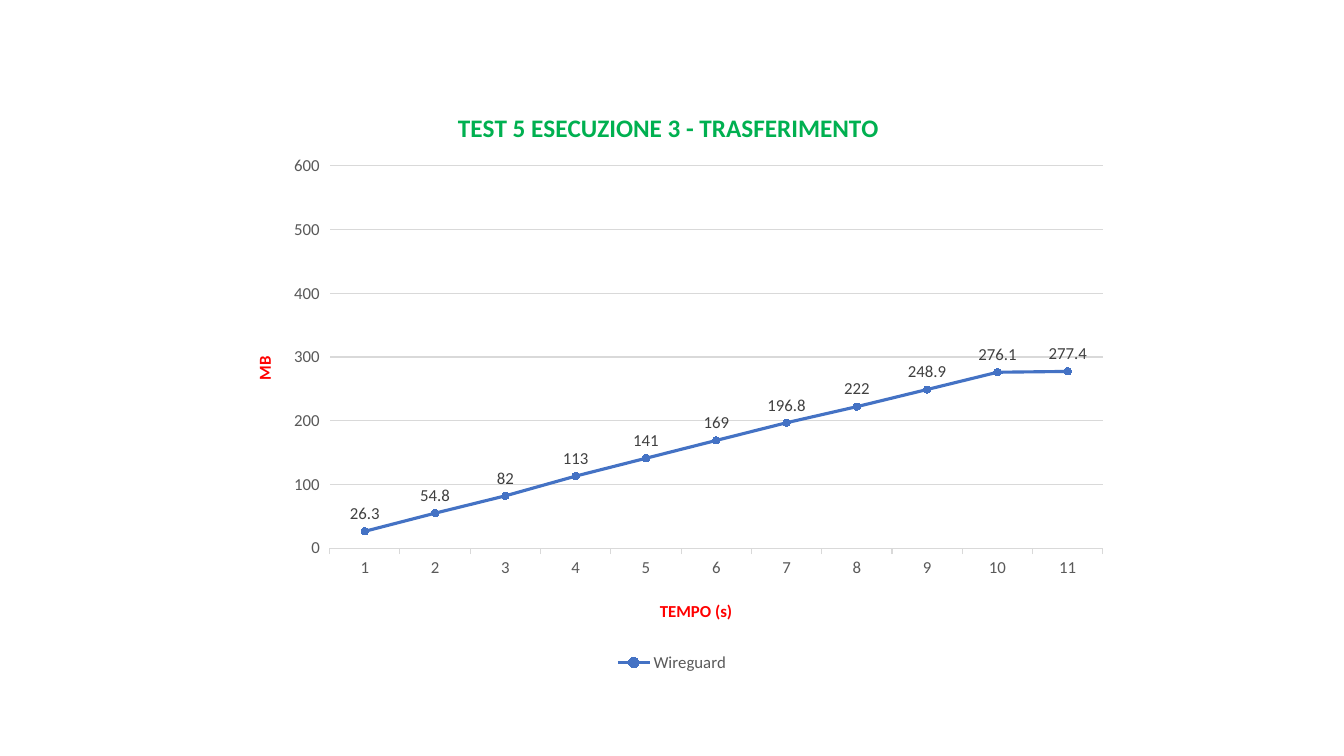
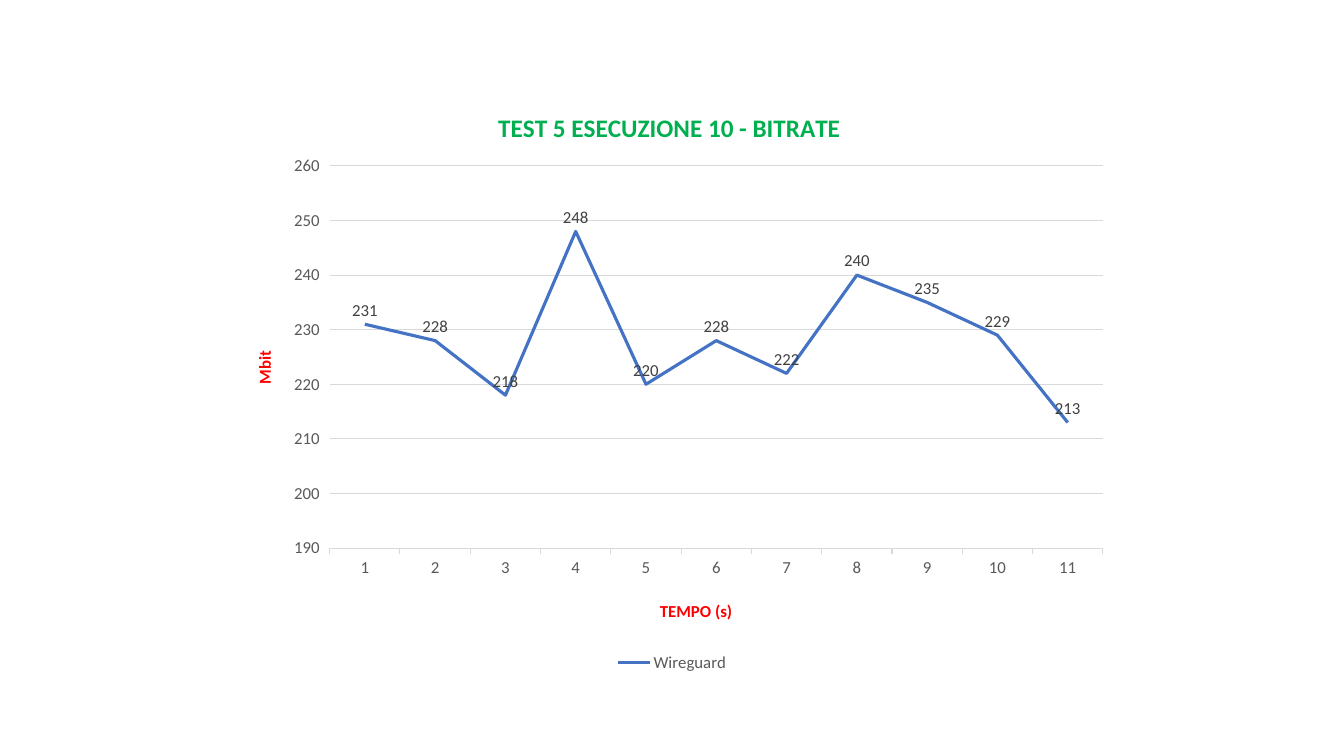
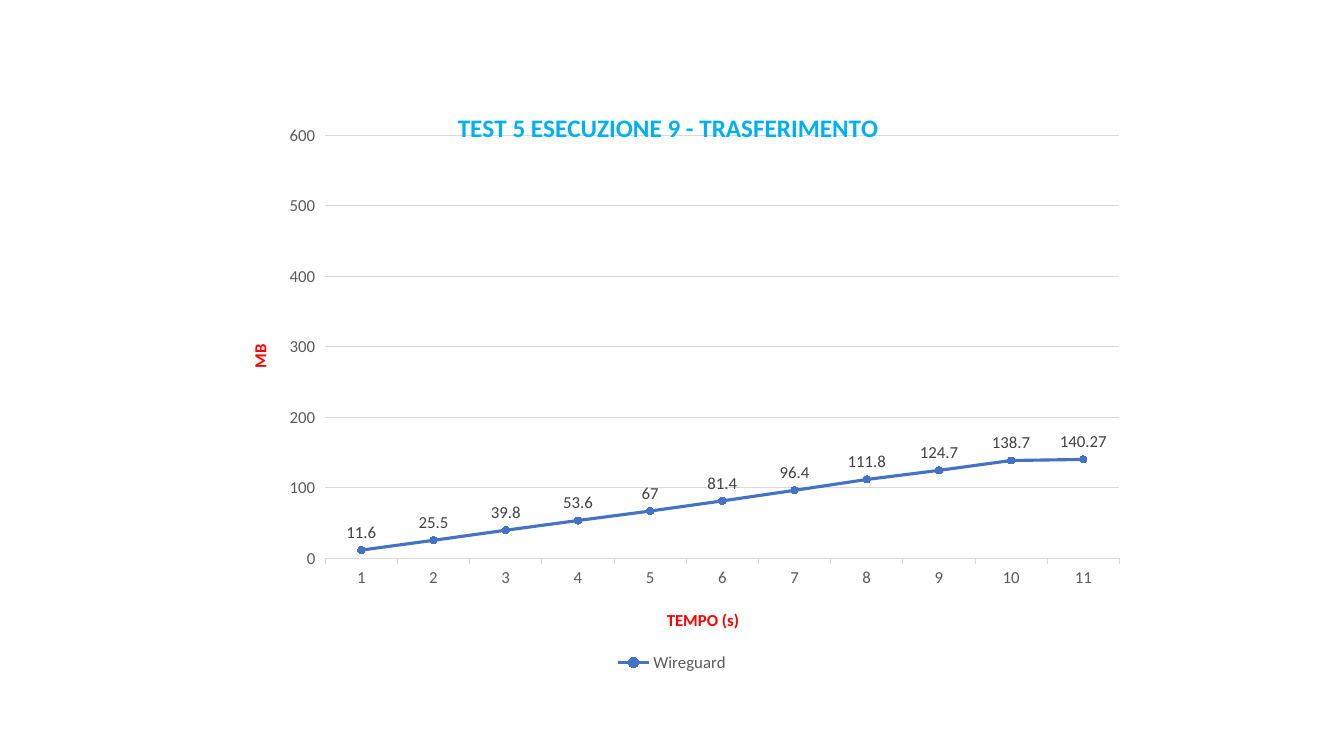
from dataclasses import dataclass
from lxml.etree import SubElement
from pptx import Presentation
from pptx.chart.data import CategoryChartData
from pptx.dml.color import RGBColor
from pptx.enum.chart import (XL_CHART_TYPE, XL_LABEL_POSITION, XL_LEGEND_POSITION,
                             XL_MARKER_STYLE, XL_TICK_MARK)
from pptx.oxml.ns import qn
from pptx.util import Inches, Pt

# Shared style
FONT = "Calibri"
GREEN = RGBColor(0x00, 0xB0, 0x50)
CYAN = RGBColor(0x00, 0xB0, 0xF0)
RED = RGBColor(0xFF, 0x00, 0x00)
BLUE = RGBColor(0x44, 0x72, 0xC4)
BLACK = RGBColor(0x00, 0x00, 0x00)
DARK_GRAY = RGBColor(0x40, 0x40, 0x40)
GRAY = RGBColor(0x59, 0x59, 0x59)
LIGHT_GRAY = RGBColor(0xD9, 0xD9, 0xD9)

# Slide size and chart frame, as shares of the slide
SLIDE_WIDTH, SLIDE_HEIGHT = Inches(13.33), Inches(7.5)
FRAME_LEFT, FRAME_TOP = 1 / 6, 0.105
TITLE_TOP = 0.044


@dataclass
class Places:
    """Positions as shares of the chart frame."""
    plot: tuple
    time_title: tuple
    value_title: tuple


@dataclass
class Test:
    title: str
    title_left: float
    color: RGBColor
    unit: str
    scale: tuple
    values: tuple
    places: Places
    markers: bool = True


STANDARD_PLOT = (0.118, 0.145, 0.863, 0.64)
WIDE_PLOT = (0.113, 0.094, 0.887, 0.708)

TESTS = (
    Test("TEST 5 ESECUZIONE 3 - TRASFERIMENTO", 0.256, GREEN, "MB", (0, 600, 100),
         (26.3, 54.8, 82, 113, 141, 169, 196.8, 222, 248.9, 276.1, 277.4),
         Places(STANDARD_PLOT, (0.483, 0.867), (0.029, 0.459))),
    Test("TEST 5 ESECUZIONE 10 - BITRATE", 0.301, GREEN, "Mbit", (190, 260, 10),
         (231, 228, 218, 248, 220, 228, 222, 240, 235, 229, 213),
         Places(STANDARD_PLOT, (0.483, 0.866), (0.029, 0.449)), markers=False),
    Test("TEST 5 ESECUZIONE 9 - TRASFERIMENTO", 0.256, CYAN, "MB", (0, 600, 100),
         (11.6, 25.5, 39.8, 53.6, 67, 81.4, 96.4, 111.8, 124.7, 138.7, 140.27),
         Places(WIDE_PLOT, (0.491, 0.882), (0.024, 0.439))),
)


def style_font(font, size, color, bold=False):
    for name, value in {"name": FONT, "size": Pt(size), "bold": bold}.items():
        setattr(font, name, value)
    font.color.rgb = color


def style_line(line, color, width):
    line.color.rgb = color
    line.width = Pt(width)


def place(element, shares, inner=False):
    """Give a chart part a manual layout: left, top and perhaps width, height."""
    layout = element.find(qn("c:layout"))
    if layout is None:
        layout = element.makeelement(qn("c:layout"))
        element.insert(0, layout)
    manual = SubElement(layout, qn("c:manualLayout"))
    settings = [("layoutTarget", "inner")] if inner else []
    settings += [("xMode", "edge"), ("yMode", "edge")]
    settings += zip(("x", "y", "w", "h"), map(str, shares))
    for name, value in settings:
        SubElement(manual, qn(f"c:{name}")).set("val", value)


def write_title(title, text, size, color, position, upright=False):
    title.text_frame.text = text
    style_font(title.text_frame.paragraphs[0].runs[0].font, size, color, bold=True)
    place(title._element, position)
    if upright:
        body = title._element.find(".//" + qn("a:bodyPr"))
        body.set("rot", "-5400000")
        body.set("vert", "horz")


def style_axes(chart, test):
    time_axis, value_axis = chart.category_axis, chart.value_axis
    for axis in (time_axis, value_axis):
        axis.major_tick_mark = XL_TICK_MARK.OUTSIDE
        axis.minor_tick_mark = XL_TICK_MARK.NONE
        style_font(axis.tick_labels.font, 12, GRAY)
    style_line(time_axis.format.line, LIGHT_GRAY, 0.75)
    value_axis.format.line.fill.background()
    value_axis.has_major_gridlines = True
    style_line(value_axis.major_gridlines.format.line, LIGHT_GRAY, 0.75)
    for name, value in zip(("minimum_scale", "maximum_scale", "major_unit"), test.scale):
        setattr(value_axis, name, value)
    write_title(time_axis.axis_title, "TEMPO (s)", 12, RED, test.places.time_title)
    write_title(value_axis.axis_title, test.unit, 12, RED, test.places.value_title,
                upright=True)


def style_series(series, markers):
    series.smooth = False
    style_line(series.format.line, BLUE, 2.25)
    marker = series.marker
    if markers:
        marker.style = XL_MARKER_STYLE.CIRCLE
        marker.size = 5
        marker.format.fill.solid()
        marker.format.fill.fore_color.rgb = BLUE
        style_line(marker.format.line, BLUE, 0.75)
    else:
        marker.style = XL_MARKER_STYLE.NONE
    labels = series.data_labels
    labels.show_value = True
    labels.position = XL_LABEL_POSITION.ABOVE
    style_font(labels.font, 12, DARK_GRAY)


def add_test_chart(page, test):
    data = CategoryChartData()
    data.categories = [str(second) for second in range(1, len(test.values) + 1)]
    data.add_series("Wireguard", test.values)
    kind = XL_CHART_TYPE.LINE_MARKERS if test.markers else XL_CHART_TYPE.LINE
    left, top = int(SLIDE_WIDTH * FRAME_LEFT), int(SLIDE_HEIGHT * FRAME_TOP)
    chart = page.shapes.add_chart(kind, left, top, SLIDE_WIDTH - 2 * left,
                                  SLIDE_HEIGHT - 2 * top, data).chart
    style_font(chart.font, 10, BLACK)

    # Title, axes and plot
    chart.has_title = True
    write_title(chart.chart_title, test.title, 18, test.color,
                (test.title_left, TITLE_TOP))
    style_axes(chart, test)
    place(chart._chartSpace.find(".//" + qn("c:plotArea")), test.places.plot, inner=True)
    chart.plots[0].vary_by_categories = False
    style_series(chart.plots[0].series[0], test.markers)

    # Legend
    chart.has_legend = True
    chart.legend.position = XL_LEGEND_POSITION.BOTTOM
    chart.legend.include_in_layout = False
    style_font(chart.legend.font, 12, GRAY)


def main():
    deck = Presentation()
    deck.slide_width, deck.slide_height = SLIDE_WIDTH, SLIDE_HEIGHT
    blank = deck.slide_layouts[6]
    for test in TESTS:
        add_test_chart(deck.slides.add_slide(blank), test)
    deck.save("out.pptx")


if __name__ == "__main__":
    main()
